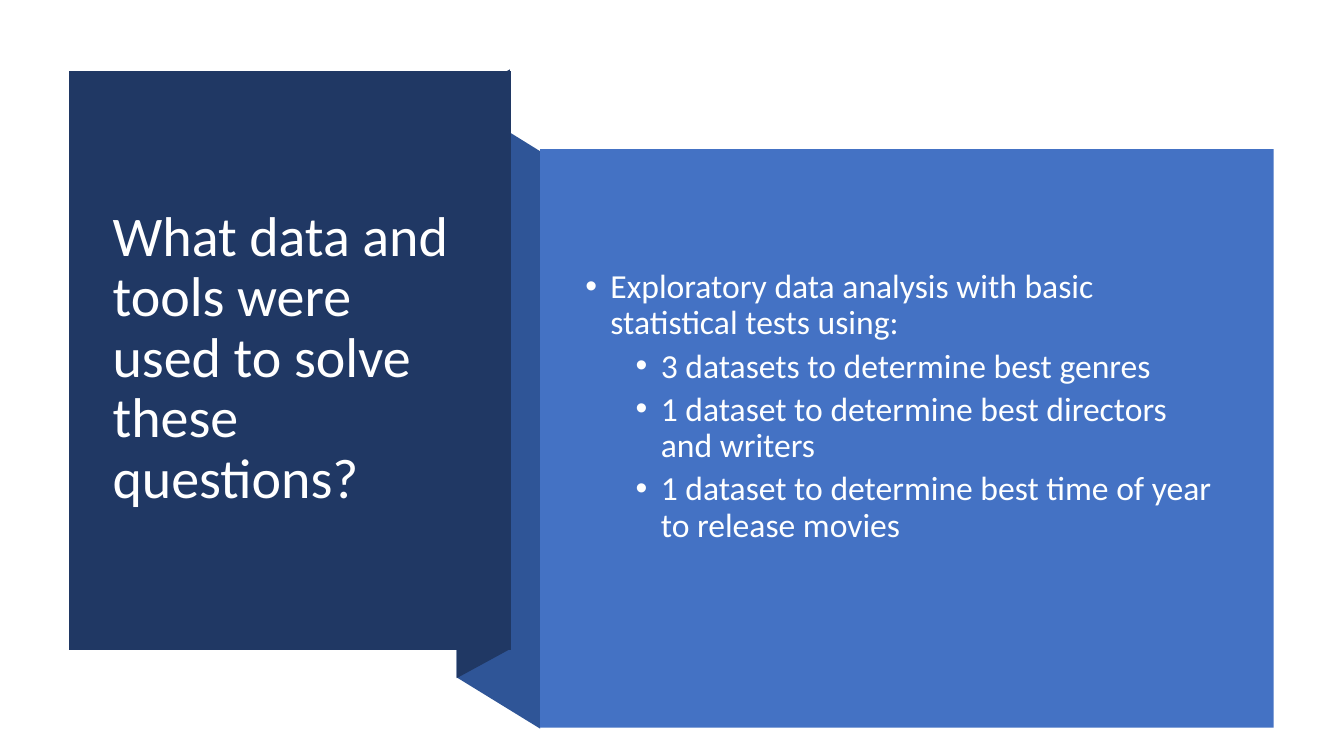
from dataclasses import dataclass

from lxml.etree import SubElement
from pptx import Presentation
from pptx.dml.color import RGBColor
from pptx.enum.shapes import MSO_SHAPE as Preset
from pptx.enum.text import MSO_ANCHOR as Anchor
from pptx.oxml.ns import qn
from pptx.shapes.base import BaseShape
from pptx.slide import Slide
from pptx.util import Cm, Pt


@dataclass(frozen=True)
class Theme:
    font: str = "Calibri"
    navy: str = "203864"
    fold_blue: str = "2F5597"
    panel_blue: str = "4472C4"
    title_color: str = "FFFFFF"
    body_color: str = "FEFFFF"
    title_size: int = 40
    body_size: int = 24
    line_spacing: float = 0.9


@dataclass(frozen=True)
class Box:
    """A rectangle in centimetres."""
    left: float
    top: float
    width: float
    height: float

    def lengths(self) -> tuple[Cm, Cm, Cm, Cm]:
        return Cm(self.left), Cm(self.top), Cm(self.width), Cm(self.height)


@dataclass(frozen=True)
class Outline:
    """A closed polygon with corners in centimetres."""
    color: str
    corners: tuple[tuple[float, float], ...]


@dataclass(frozen=True)
class Line:
    text: str
    size: int
    color: str
    space_before: float = 0
    indent: float | None = None  # centimetres; None means no bullet


THEME = Theme()
BULLET_HANG = 0.635

RIBBON = (
    Outline(THEME.fold_blue, ((13.61, 18.36), (11.51, 17.07), (11.51, 2.51), (13.61, 3.81))),
    Outline(THEME.navy, ((12.85, 16.36), (11.51, 17.09), (11.51, 2.49), (12.85, 1.75))),
    Outline(THEME.navy, ((1.75, 1.78), (12.87, 1.78), (12.87, 16.38), (1.75, 16.38))),
)
BODY_PANEL = Box(13.61, 3.76, 18.49, 14.58)
TITLE_BOX = Box(2.59, 2.72, 9.42, 12.67)
BODY_BOX = Box(14.5, 4.78, 16.54, 10.95)

TITLE = Line("What data and tools were used to solve these questions?",
             THEME.title_size, THEME.title_color)
INTRODUCTION = Line("Exploratory data analysis with basic statistical tests using:",
                    THEME.body_size, THEME.body_color, 10, BULLET_HANG)
DATASETS = [
    Line(text, THEME.body_size, THEME.body_color, 5, 3 * BULLET_HANG)
    for text in (
        "3 datasets to determine best genres",
        "1 dataset to determine best directors and writers",
        "1 dataset to determine best time of year to release movies",
    )
]


def paint(shape: BaseShape, color: str) -> None:
    shape.shadow.inherit = False
    shape.fill.solid()
    shape.fill.fore_color.rgb = RGBColor.from_string(color)
    shape.line.fill.background()


def add_outline(slide: Slide, outline: Outline) -> None:
    start, *others = [(Cm(x), Cm(y)) for x, y in outline.corners]
    builder = slide.shapes.build_freeform(*start)
    builder.add_line_segments(others, close=True)
    paint(builder.convert_to_shape(), outline.color)


def add_text(slide: Slide, box: Box, lines: list[Line]) -> None:
    frame = slide.shapes.add_textbox(*box.lengths()).text_frame
    frame.word_wrap = True
    frame.vertical_anchor = Anchor.MIDDLE
    frame.text = "\n".join(line.text for line in lines)
    for paragraph, line in zip(frame.paragraphs, lines):
        paragraph.line_spacing = THEME.line_spacing
        paragraph.space_before = Pt(line.space_before)
        font = paragraph.runs[0].font
        font.name = THEME.font
        font.size = Pt(line.size)
        font.color.rgb = RGBColor.from_string(line.color)
        if line.indent is not None:
            paragraph.level = int(line.indent > BULLET_HANG)
            properties = paragraph._p.get_or_add_pPr()
            properties.set("marL", str(Cm(line.indent)))
            properties.set("indent", str(-Cm(BULLET_HANG)))
            SubElement(properties, qn("a:buFont")).set("typeface", "Arial")
            SubElement(properties, qn("a:buChar")).set("char", "•")


def main() -> None:
    presentation = Presentation()
    presentation.slide_width = Cm(33.87)
    presentation.slide_height = Cm(19.05)
    slide = presentation.slides.add_slide(presentation.slide_layouts[6])

    for outline in RIBBON:
        add_outline(slide, outline)
    add_text(slide, TITLE_BOX, [TITLE])
    paint(slide.shapes.add_shape(Preset.RECTANGLE, *BODY_PANEL.lengths()), THEME.panel_blue)
    add_text(slide, BODY_BOX, [INTRODUCTION, *DATASETS])

    presentation.save("out.pptx")


if __name__ == "__main__":
    main()
